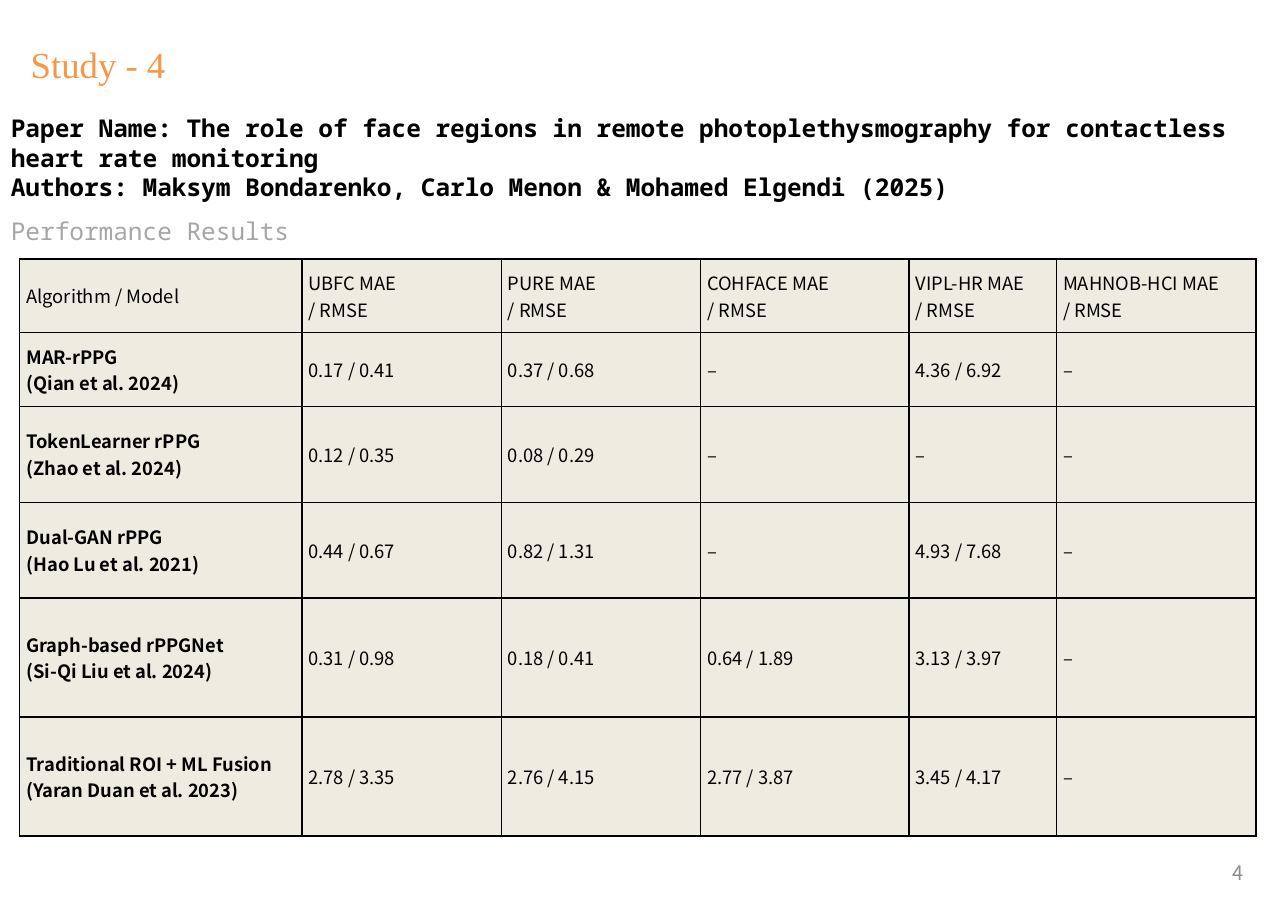
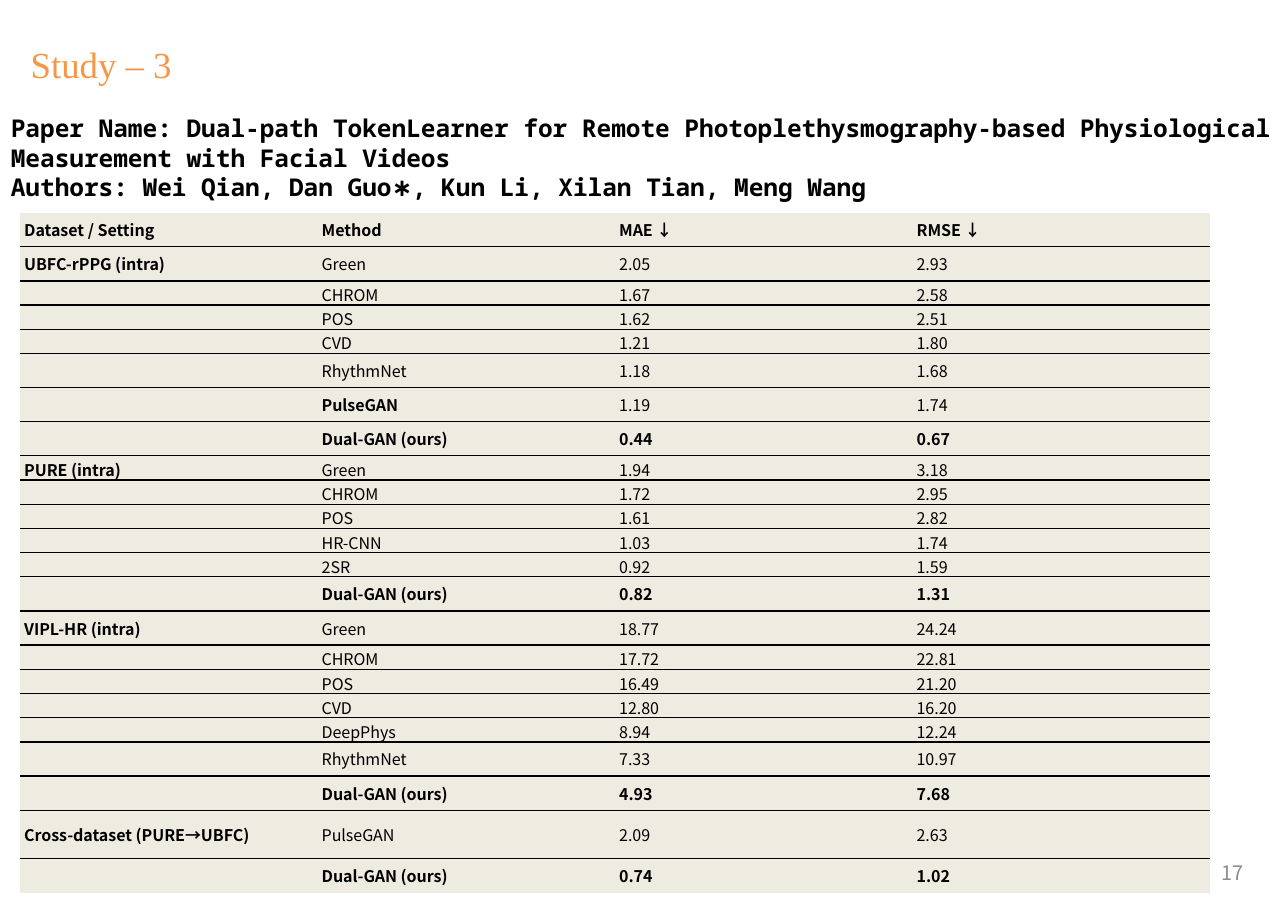
from lxml.etree import SubElement
from pptx import Presentation
from pptx.dml.color import RGBColor
from pptx.enum.text import MSO_ANCHOR, MSO_AUTO_SIZE, PP_ALIGN
from pptx.oxml.ns import qn
from pptx.util import Inches, Pt

COLORS = {"title": "F79646", "ink": "000000", "caption": "A6A6A6",
          "number": "8C8C8C", "cell": "EEECE1"}
SERIF, MONO, SANS = "Times New Roman", "Noto Sans Mono", "Noto Sans CJK KR"
SLIDE_WIDTH, SLIDE_HEIGHT = 11.69, 8.27

NUMBER_BOX = (8.67, 7.7, 2.73, 0.44)
TITLE_BOX = (0.18, 0.13, 9.11, 0.64)

SCORES = [
    ["Algorithm / Model", "UBFC MAE\n/ RMSE", "PURE MAE\n/ RMSE",
     "COHFACE MAE\n/ RMSE", "VIPL-HR MAE\n/ RMSE", "MAHNOB-HCI MAE\n/ RMSE"],
    ["MAR-rPPG\n(Qian et al. 2024)", "0.17 / 0.41", "0.37 / 0.68", "–", "4.36 / 6.92", "–"],
    ["TokenLearner rPPG\n(Zhao et al. 2024)", "0.12 / 0.35", "0.08 / 0.29", "–", "–", "–"],
    ["Dual-GAN rPPG\n(Hao Lu et al. 2021)", "0.44 / 0.67", "0.82 / 1.31", "–", "4.93 / 7.68", "–"],
    ["Graph-based rPPGNet\n(Si-Qi Liu et al. 2024)", "0.31 / 0.98", "0.18 / 0.41",
     "0.64 / 1.89", "3.13 / 3.97", "–"],
    ["Traditional ROI + ML Fusion\n(Yaran Duan et al. 2023)", "2.78 / 3.35", "2.76 / 4.15",
     "2.77 / 3.87", "3.45 / 4.17", "–"],
]
SCORE_COLUMNS = [2.56, 1.81, 1.81, 1.89, 1.34, 1.81]
SCORE_ROWS = [0.67, 0.67, 0.87, 0.87, 1.08, 1.08]

METHODS = [
    ["Dataset / Setting", "Method", "MAE ↓", "RMSE ↓"],
    ["UBFC-rPPG (intra)", "Green", "2.05", "2.93"],
    ["", "CHROM", "1.67", "2.58"],
    ["", "POS", "1.62", "2.51"],
    ["", "CVD", "1.21", "1.80"],
    ["", "RhythmNet", "1.18", "1.68"],
    ["", "PulseGAN", "1.19", "1.74"],
    ["", "Dual-GAN (ours)", "0.44", "0.67"],
    ["PURE (intra)", "Green", "1.94", "3.18"],
    ["", "CHROM", "1.72", "2.95"],
    ["", "POS", "1.61", "2.82"],
    ["", "HR-CNN", "1.03", "1.74"],
    ["", "2SR", "0.92", "1.59"],
    ["", "Dual-GAN (ours)", "0.82", "1.31"],
    ["VIPL-HR (intra)", "Green", "18.77", "24.24"],
    ["", "CHROM", "17.72", "22.81"],
    ["", "POS", "16.49", "21.20"],
    ["", "CVD", "12.80", "16.20"],
    ["", "DeepPhys", "8.94", "12.24"],
    ["", "RhythmNet", "7.33", "10.97"],
    ["", "Dual-GAN (ours)", "4.93", "7.68"],
    ["Cross-dataset (PURE→UBFC)", "PulseGAN", "2.09", "2.63"],
    ["", "Dual-GAN (ours)", "0.74", "1.02"],
]
METHOD_COLUMNS = [2.7] * 4
TALL, SHORT = 0.31, 0.22
METHOD_ROWS = ([TALL] * 2 + [SHORT] * 3 + [TALL] * 3 + [SHORT] * 5 + [TALL] * 2
               + [SHORT] * 4 + [TALL] * 2 + [0.44, TALL])


def add_run(paragraph, text, font, size, color, bold=False):
    """Add one styled run."""
    run = paragraph.add_run()
    run.text = text
    run.font.name, run.font.size, run.font.bold = font, Pt(size), bold
    run.font.color.rgb = RGBColor.from_string(COLORS[color])


def add_text_frame(slide, box):
    """Add a wrapping text box and return its frame."""
    frame = slide.shapes.add_textbox(*map(Inches, box)).text_frame
    frame.word_wrap = True
    return frame


def add_page_frame(deck, title, number):
    """Add a slide with its page number and title."""
    slide = deck.slides.add_slide(deck.slide_layouts[6])
    footer = add_text_frame(slide, NUMBER_BOX)
    footer.vertical_anchor = MSO_ANCHOR.MIDDLE
    footer.margin_left = footer.margin_right = Inches(0.11)
    footer.paragraphs[0].alignment = PP_ALIGN.RIGHT
    add_run(footer.paragraphs[0], number, SANS, 13, "number")
    heading = add_text_frame(slide, TITLE_BOX)
    heading.auto_size = MSO_AUTO_SIZE.SHAPE_TO_FIT_TEXT
    heading.paragraphs[0].line_spacing = 1.5
    add_run(heading.paragraphs[0], title, SERIF, 24, "title")
    return slide


def add_citation(slide, box, lines, caption=None):
    """Add the bold paper details and an optional grey caption."""
    frame = add_text_frame(slide, box)
    frame.auto_size = MSO_AUTO_SIZE.SHAPE_TO_FIT_TEXT
    for index, line in enumerate(lines):
        paragraph = frame.add_paragraph() if index else frame.paragraphs[0]
        add_run(paragraph, line, MONO, 16, "ink", True)
    if caption:
        paragraph = frame.add_paragraph()
        paragraph.line_spacing = 1.5
        add_run(paragraph, caption, MONO, 16, "caption")


def set_borders(cell, edges):
    """Rule the named edges of a cell and clear the others."""
    properties = cell._tc.get_or_add_tcPr()
    for edge in "LRTB":
        line = SubElement(properties, qn(f"a:ln{edge}"), w=str(Pt(1)))
        if edge in edges:
            fill = SubElement(line, qn("a:solidFill"))
            SubElement(fill, qn("a:srgbClr"), val=COLORS["ink"])
        else:
            SubElement(line, qn("a:noFill"))


def fill_cell(cell, text, size, bold, margins, edges):
    """Write, pad, rule and shade one cell."""
    set_borders(cell, edges)
    cell.fill.solid()
    cell.fill.fore_color.rgb = RGBColor.from_string(COLORS["cell"])
    cell.vertical_anchor = MSO_ANCHOR.MIDDLE
    cell.margin_left = cell.margin_right = Inches(margins[0])
    cell.margin_top = cell.margin_bottom = Inches(margins[1])
    paragraph = cell.text_frame.paragraphs[0]
    if not text:
        SubElement(paragraph._p, qn("a:endParaRPr"), sz=str(int(size * 100)))
        return
    for index, line in enumerate(text.split("\n")):
        if index:
            paragraph.add_line_break()
        add_run(paragraph, line, SANS, size, "ink", bold)


def add_results(slide, origin, columns, heights, rows, size, margins, is_bold, edges_of):
    """Add a results table styled by the bold and edge rules."""
    box = (*origin, sum(columns), sum(heights))
    table = slide.shapes.add_table(len(rows), len(columns), *map(Inches, box)).table
    table.first_row = table.horz_banding = False
    for column, width in zip(table.columns, columns):
        column.width = Inches(width)
    for r, (row, height) in enumerate(zip(rows, heights)):
        table.rows[r].height = Inches(height)
        for c, text in enumerate(row):
            fill_cell(table.cell(r, c), text, size, is_bold(r, c), margins, edges_of(r))


def is_method_bold(r, c):
    """Tell whether a cell of the method table is bold."""
    return r == 0 or c == 0 or "(ours)" in METHODS[r][1] or (r, c) == (6, 1)


def method_edges(r):
    """Give the ruled edges of a method row, leaving the table's outside open."""
    return ("T" if r else "") + ("B" if r < len(METHODS) - 1 else "")


def build_face_regions(deck):
    """Build the study 4 slide."""
    slide = add_page_frame(deck, "Study - 4", "4")
    add_citation(slide, (0, 0.98, SLIDE_WIDTH, 1.27), [
        "Paper Name: The role of face regions in remote photoplethysmography "
        "for contactless heart rate monitoring",
        "Authors: Maksym Bondarenko, Carlo Menon & Mohamed Elgendi (2025)",
    ], "Performance Results")
    add_results(slide, (0.18, 2.35), SCORE_COLUMNS, SCORE_ROWS, SCORES, 12, (0.06, 0.03),
                lambda r, c: r > 0 and c == 0, lambda r: "LRTB")


def build_token_learner(deck):
    """Build the study 3 slide."""
    slide = add_page_frame(deck, "Study – 3", "17")
    add_citation(slide, (0, 0.98, SLIDE_WIDTH, 1.18), [
        "Paper Name: Dual-path TokenLearner for Remote Photoplethysmography-based Physiological",
        "Measurement with Facial Videos",
        "Authors: Wei Qian, Dan Guo∗, Kun Li, Xilan Tian, Meng Wang",
    ])
    add_results(slide, (0.18, 1.93), METHOD_COLUMNS, METHOD_ROWS, METHODS, 10.5,
                (0.04, 0.02), is_method_bold, method_edges)


def main():
    """Build and save the presentation."""
    deck = Presentation()
    deck.slide_width, deck.slide_height = Inches(SLIDE_WIDTH), Inches(SLIDE_HEIGHT)
    build_face_regions(deck)
    build_token_learner(deck)
    deck.save("out.pptx")


if __name__ == "__main__":
    main()
